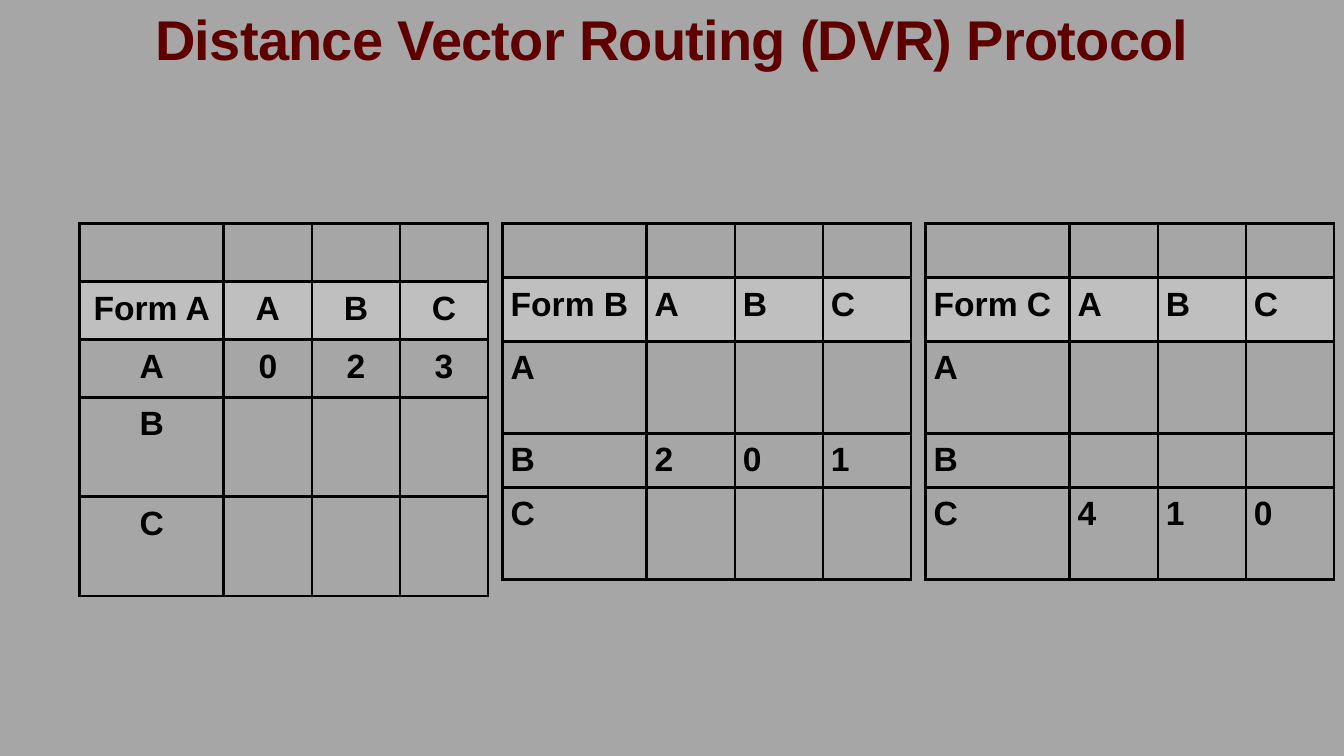
import dataclasses

import lxml.etree
import pptx
import pptx.dml.color
import pptx.enum.text
import pptx.oxml.ns
import pptx.util

Cm = pptx.util.Cm
Pt = pptx.util.Pt
Align = pptx.enum.text.PP_ALIGN


@dataclasses.dataclass(frozen=True)
class Theme:
    """Colours, font and type sizes of the slide."""
    back: str = "A6A6A6"
    head: str = "BFBFBF"
    ink: str = "000000"
    title: str = "5F0000"
    face: str = "Arial"
    large: int = 40
    small: int = 24
    rule: float = 2.25


THEME = Theme()
COLS = (3.63, 2.22, 2.22, 2.22)
NODES = ("A", "B", "C")
TALL = (1.46, 1.46, 1.46, 2.5, 2.5)
SHORT = (1.36, 1.6, 2.32, 1.36, 2.32)
TABLES = (
    ("A", ("0", "2", "3"), TALL, Align.CENTER),
    ("B", ("2", "0", "1"), SHORT, Align.LEFT),
    ("C", ("4", "1", "0"), SHORT, Align.LEFT),
)


def paint(fill, color):
    """Give a fill one solid colour."""
    fill.solid()
    fill.fore_color.rgb = pptx.dml.color.RGBColor.from_string(color)


def style(para, size, color, align):
    """Set the font and alignment of a paragraph."""
    para.alignment = align
    font = para.font
    font.name, font.size, font.bold = THEME.face, Pt(size), True
    paint(font.fill, color)


def border(cell):
    """Rule all four sides of a cell."""
    props = cell._tc.get_or_add_tcPr()
    qn = pptx.oxml.ns.qn
    for spot, side in enumerate(("lnL", "lnR", "lnT", "lnB")):
        line = lxml.etree.Element(qn("a:" + side), w=str(int(Pt(THEME.rule))))
        fill = lxml.etree.SubElement(line, qn("a:solidFill"))
        lxml.etree.SubElement(fill, qn("a:srgbClr"), val=THEME.ink)
        props.insert(spot, line)


def heading(slide, text, left, top, width, height):
    """Place the title in its box."""
    shape = slide.shapes.title
    shape.left, shape.top = Cm(left), Cm(top)
    shape.width, shape.height = Cm(width), Cm(height)
    frame = shape.text_frame
    frame.text = text
    frame.auto_size = pptx.enum.text.MSO_AUTO_SIZE.NONE
    frame.vertical_anchor = pptx.enum.text.MSO_ANCHOR.BOTTOM
    para = frame.paragraphs[0]
    para.line_spacing = 0.85
    style(para, THEME.large, THEME.title, Align.CENTER)
    para.runs[0]._r.get_or_add_rPr().set("spc", "-50")


def routes(slide, node, costs, rows, align, left, top):
    """Draw the routing table of one node from its top left corner."""
    table = slide.shapes.add_table(
        len(rows), len(COLS), Cm(left), Cm(top), Cm(sum(COLS)), Cm(sum(rows))
    ).table
    table.first_row = table.horz_banding = False
    for col, width in zip(table.columns, COLS):
        col.width = Cm(width)
    for row, height in zip(table.rows, rows):
        row.height = Cm(height)
    blank = ("",) * len(NODES)
    grid = [("",) + blank, ("Form " + node,) + NODES]
    grid += [(name,) + (costs if name == node else blank) for name in NODES]
    for y, line in enumerate(grid):
        for x, text in enumerate(line):
            cell = table.cell(y, x)
            cell.margin_left = cell.margin_right = Cm(0.2)
            cell.margin_top = cell.margin_bottom = Cm(0.2)
            cell.text = text
            style(cell.text_frame.paragraphs[0], THEME.small, THEME.ink, align)
            if y == 1:
                paint(cell.fill, THEME.head)
            else:
                cell.fill.background()
            border(cell)


def main():
    """Build the slide and save it."""
    deck = pptx.Presentation()
    deck.slide_width, deck.slide_height = Cm(33.87), Cm(19.05)
    slide = deck.slides.add_slide(deck.slide_layouts[5])
    paint(slide.background.fill, THEME.back)
    for index, parts in enumerate(TABLES):
        routes(slide, *parts, left=2.01 + 10.66 * index, top=5.64)
    heading(slide, "Distance Vector Routing (DVR) Protocol", 0, -0.79, 33.87, 2.74)
    deck.save("out.pptx")


if __name__ == "__main__":
    main()
